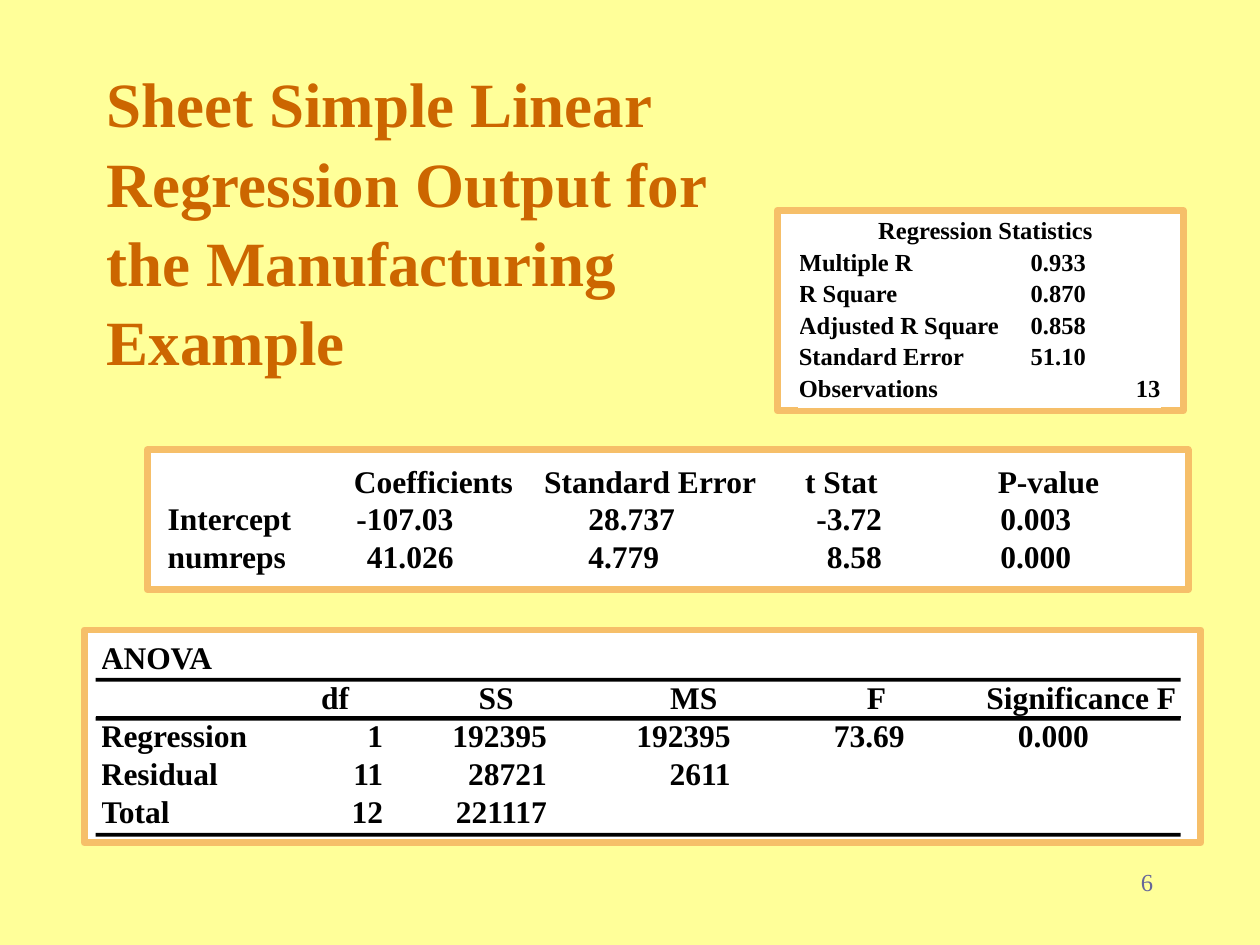
from pptx import Presentation
from pptx.dml.color import RGBColor
from pptx.enum.shapes import MSO_CONNECTOR, MSO_SHAPE
from pptx.enum.text import MSO_ANCHOR, PP_ALIGN
from pptx.oxml.ns import qn
from pptx.util import Inches, Pt
from lxml import etree

COLORS = {
    "background": "FFFF99",
    "title": "CC6600",
    "panel": "FFFFFF",
    "border": "F6BF69",
    "ink": "000000",
    "number": "666699",
}
LEFT, RIGHT = PP_ALIGN.LEFT, PP_ALIGN.RIGHT


def write(frame, text, size, color, align=LEFT, bold=True):
    paragraph = frame.paragraphs[0]
    paragraph.alignment = align
    run = paragraph.add_run()
    run.text = text
    run.font.name = "Times New Roman"
    run.font.size = Pt(size)
    run.font.bold = bold
    run.font.color.rgb = RGBColor.from_string(COLORS[color])


def add_box(left, top, width, height, fill, border=None):
    box = slide.shapes.add_shape(
        MSO_SHAPE.RECTANGLE, Inches(left), Inches(top), Inches(width), Inches(height))
    box.shadow.inherit = False
    box.fill.solid()
    box.fill.fore_color.rgb = RGBColor.from_string(COLORS[fill])
    if border:
        box.line.color.rgb = RGBColor.from_string(COLORS[border])
        box.line.width = Pt(4)
    else:
        box.line.fill.background()


prs = Presentation()
prs.slide_width, prs.slide_height = Inches(10), Inches(7.5)
slide = prs.slides.add_slide(prs.slide_layouts[6])
slide.background.fill.solid()
slide.background.fill.fore_color.rgb = RGBColor.from_string(COLORS["background"])

title = slide.shapes.add_textbox(Inches(0.75), Inches(0.33), Inches(5), Inches(2.83)).text_frame
title.word_wrap = True
title.vertical_anchor = MSO_ANCHOR.MIDDLE
write(title, "Sheet Simple Linear Regression Output for the Manufacturing Example", 36, "title")
title.paragraphs[0].line_spacing = 1.05

# Each column: left edge, x of its heading, alignment of its values, x they align to
statistics = {
    "panel": (6.17, 1.67, 3.22, 1.59), "top": 1.73, "right": 9.21, "size": 14,
    "row_heights": [0.25] * 6, "heading_rows": 1,
    "columns": [(6.34, 6.97, LEFT, 6.34), (8.1, 8.1, LEFT, 8.18)],
    "rows": [
        ["Regression Statistics", ""],
        ["Multiple R", "0.933"],
        ["R Square", "0.870"],
        ["Adjusted R Square", "0.858"],
        ["Standard Error", "51.10"],
        ["Observations", "13"],
    ],
}
coefficients = {
    "panel": (1.17, 3.57, 8.26, 1.11), "top": 3.69, "right": 9.3, "size": 18,
    "row_heights": [0.29] * 3, "heading_rows": 1,
    "columns": [(1.33, 1.33, LEFT, 1.33), (2.7, 2.81, RIGHT, 3.6), (4.3, 4.32, LEFT, 4.67),
                (6.3, 6.39, RIGHT, 7), (7.8, 7.92, LEFT, 7.94)],
    "rows": [
        ["", "Coefficients", "Standard Error", "t Stat", "P-value"],
        ["Intercept", "-107.03", "28.737", "-3.72", "0.003"],
        ["numreps", "41.026", "4.779", "8.58", "0.000"],
    ],
}
anova = {
    "panel": (0.67, 5, 8.86, 1.69), "top": 5.09, "right": 9.45, "size": 18,
    "row_heights": [0.32] + [0.3] * 4, "heading_rows": 2,
    "columns": [(0.8, 0.8, LEFT, 0.8), (2.4, 2.55, RIGHT, 3.04), (3.4, 3.8, RIGHT, 4.34),
                (4.9, 5.32, RIGHT, 5.8), (6.4, 6.88, RIGHT, 7.18), (7.7, 7.83, LEFT, 8.08)],
    "rows": [
        ["ANOVA", "", "", "", "", ""],
        ["", "df", "SS", "MS", "F", "Significance F"],
        ["Regression", "1", "192395", "192395", "73.69", "0.000"],
        ["Residual", "11", "28721", "2611", "", ""],
        ["Total", "12", "221117", "", "", ""],
    ],
}

tables = []
for block in (statistics, coefficients, anova):
    add_box(*block["panel"], "panel", "border")
    columns, rows = block["columns"], block["rows"]
    edges = [column[0] for column in columns] + [block["right"]]
    table = slide.shapes.add_table(
        len(rows), len(columns), Inches(edges[0]), Inches(block["top"]),
        Inches(edges[-1] - edges[0]), Inches(sum(block["row_heights"]))).table
    table.first_row = table.horz_banding = False
    tables.append(table)
    for c, (start, end) in enumerate(zip(edges, edges[1:])):
        table.columns[c].width = Inches(end - start)
    for r, values in enumerate(rows):
        table.rows[r].height = Inches(block["row_heights"][r])
        for c, (start, heading_x, align, value_x) in enumerate(columns):
            cell = table.cell(r, c)
            cell.fill.background()
            cell.margin_left = cell.margin_right = cell.margin_top = cell.margin_bottom = 0
            if r < block["heading_rows"]:
                align, value_x = LEFT, heading_x
            if align == LEFT:
                cell.margin_left = Inches(value_x - start)
            else:
                cell.margin_right = Inches(edges[c + 1] - value_x)
            if values[c]:
                write(cell.text_frame, values[c], block["size"], "ink", align)

statistics_table = tables[0]
statistics_table.cell(0, 0).merge(statistics_table.cell(0, 1))
observations = statistics_table.cell(5, 1)
observations.text_frame.paragraphs[0].alignment = RIGHT

for rule_top in (5.38, 5.69, 6.61):
    add_box(0.76, rule_top, 8.61, 0.03, "ink")
heading_rule = slide.shapes.add_connector(
    MSO_CONNECTOR.STRAIGHT, Inches(0.76), Inches(5.69), Inches(9.37), Inches(5.69))
heading_rule.line.color.rgb = RGBColor.from_string(COLORS["ink"])
heading_rule.line.width = Pt(1)
etree.SubElement(heading_rule._element.spPr, qn("a:effectLst"))

slide_number = slide.shapes.add_textbox(
    Inches(8.42), Inches(6.83), Inches(0.83), Inches(0.5)).text_frame
slide_number.word_wrap = True
write(slide_number, "6", 14, "number", RIGHT, bold=False)

prs.save("out.pptx")
